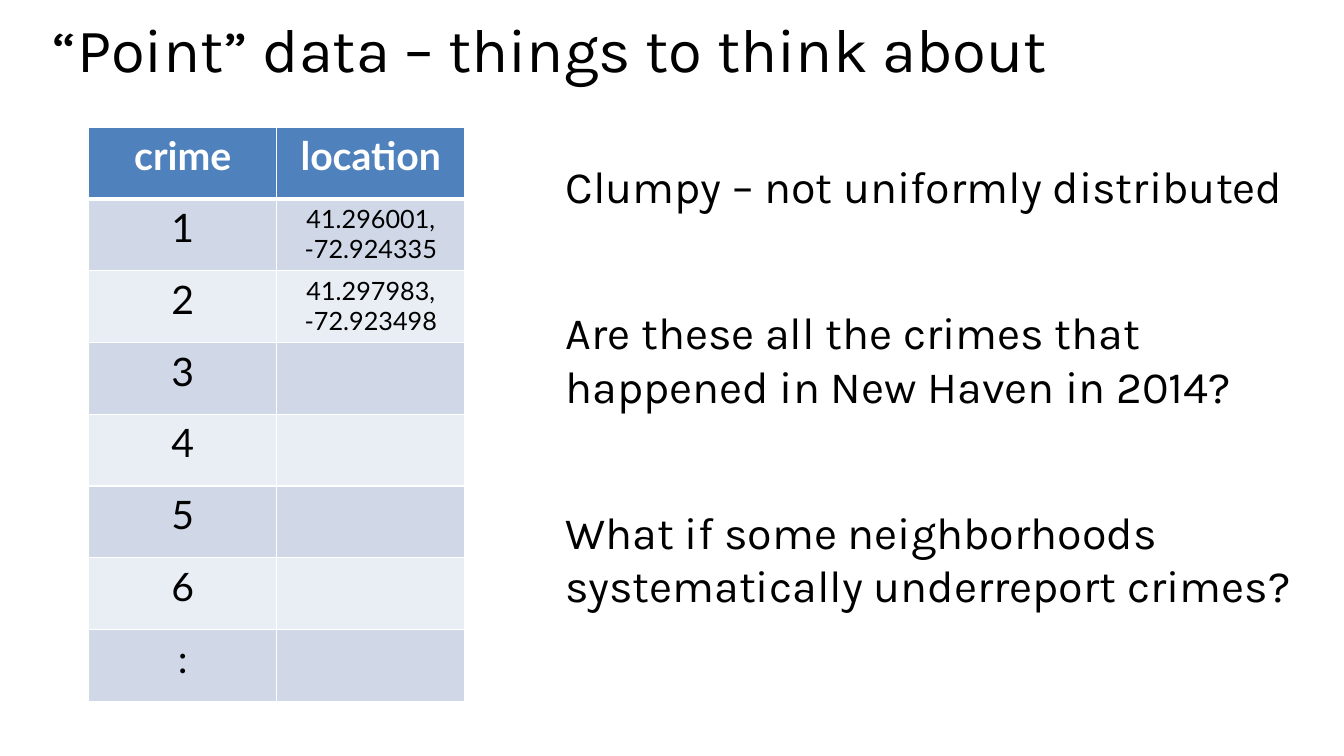
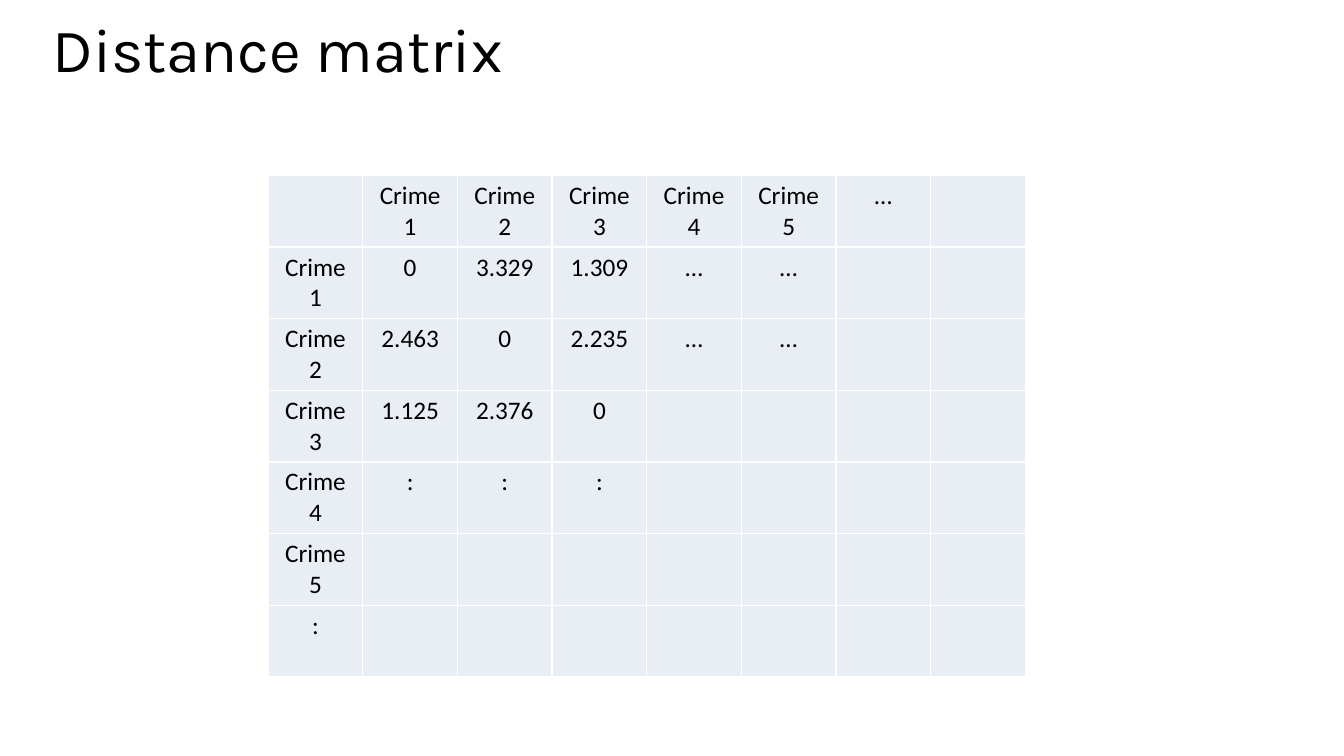
import pptx
import pptx.dml.color
import pptx.enum.text
import pptx.oxml
import pptx.oxml.ns
import pptx.util

PX = 9144
BLACK = pptx.dml.color.RGBColor(0x00, 0x00, 0x00)
WHITE = pptx.dml.color.RGBColor(0xFF, 0xFF, 0xFF)
HEADER_BLUE = pptx.dml.color.RGBColor(0x4F, 0x81, 0xBD)
BAND_DARK = pptx.dml.color.RGBColor(0xD0, 0xD8, 0xE8)
BAND_LIGHT = pptx.dml.color.RGBColor(0xE9, 0xED, 0xF4)

PLACE = ("left", "top", "width", "height")
TITLE_BOX = (42, 20, 1260, 116)
QUESTIONS_BOX = (551, 152, 749, 509)
TITLE_FONT = {"name": "Karla", "size": pptx.util.Pt(44)}
BODY_FONT = {"name": "Karla", "size": pptx.util.Pt(32)}
HEADER_FONT = {"name": "Lato", "size": pptx.util.Pt(28), "bold": True}
NUMBER_FONT = {"name": "Lato", "size": pptx.util.Pt(28), "bold": False}
LOCATION_FONT = {"name": "Lato", "size": pptx.util.Pt(18), "bold": False}
MATRIX_FONT = {"name": "Calibri", "size": pptx.util.Pt(18), "bold": False}
FRAME_FORMAT = {
    "word_wrap": True,
    "auto_size": pptx.enum.text.MSO_AUTO_SIZE.NONE,
    "vertical_anchor": pptx.enum.text.MSO_ANCHOR.TOP,
}


def format_text(text_frame, font_format, color, paragraph_format):
    for paragraph in text_frame.paragraphs:
        for name, value in paragraph_format.items():
            setattr(paragraph, name, value)
        for run in paragraph.runs:
            for name, value in font_format.items():
                setattr(run.font, name, value)
            run.font.color.rgb = color


def add_grid(slide, rows, box, cell_style, header_line):
    left, top, width, height = (length * PX for length in box)
    table = slide.shapes.add_table(
        len(rows), len(rows[0]), left, top, width, height
    ).table
    table.first_row = header_line > 1
    table.horz_banding = False
    for row_index, row in enumerate(rows):
        for column_index, text in enumerate(row):
            cell = table.cell(row_index, column_index)
            fill, font_format, color = cell_style(row_index, column_index)
            borders = {
                "lnL": 1,
                "lnR": 1,
                "lnT": header_line if row_index == 1 else 1,
                "lnB": header_line if row_index == 0 else 1,
            }
            for side, points in borders.items():
                cell._tc.get_or_add_tcPr().append(pptx.oxml.parse_xml(
                    f'<a:{side} {pptx.oxml.ns.nsdecls("a")} w="{points * 12700}">'
                    f'<a:solidFill><a:srgbClr val="{WHITE}"/></a:solidFill></a:{side}>'
                ))
            cell.fill.solid()
            cell.fill.fore_color.rgb = fill
            cell.text = text
            format_text(cell.text_frame, font_format, color,
                        {"alignment": pptx.enum.text.PP_ALIGN.CENTER})


presentation = pptx.Presentation()
presentation.slide_width = 1333 * PX
presentation.slide_height = 750 * PX

slides = []
for layout_index, title in (
    (1, "“Point” data – things to think about"),
    (5, "Distance matrix"),
):
    slide = presentation.slides.add_slide(presentation.slide_layouts[layout_index])
    shape = slide.shapes.title
    for name, length in zip(PLACE, TITLE_BOX):
        setattr(shape, name, length * PX)
    shape.text_frame.text = title
    for name, value in FRAME_FORMAT.items():
        setattr(shape.text_frame, name, value)
    format_text(shape.text_frame, TITLE_FONT, BLACK, {
        "alignment": pptx.enum.text.PP_ALIGN.LEFT, "line_spacing": 0.8,
    })
    slides.append(slide)
point_slide, matrix_slide = slides

crime_rows = [
    ("crime", "location"),
    ("1", "41.296001,\n-72.924335"),
    ("2", "41.297983,\n-72.923498"),
    *((label, "") for label in "3456:"),
]


def crime_style(row_index, column_index):
    if row_index == 0:
        return HEADER_BLUE, HEADER_FONT, WHITE
    fill = BAND_DARK if row_index % 2 else BAND_LIGHT
    return fill, LOCATION_FONT if column_index else NUMBER_FONT, BLACK


add_grid(point_slide, crime_rows, (88, 126, 373, 570), crime_style, 3)

questions = point_slide.placeholders[1]
for name, length in zip(PLACE, QUESTIONS_BOX):
    setattr(questions, name, length * PX)
questions.text_frame.text = "\n".join((
    "Clumpy – not uniformly distributed",
    "Are these all the crimes that happened in New Haven in 2014?",
    "What if some neighborhoods systematically underreport crimes?",
))
for name, value in FRAME_FORMAT.items():
    setattr(questions.text_frame, name, value)
for index, paragraph in enumerate(questions.text_frame.paragraphs):
    properties = paragraph._p.get_or_add_pPr()
    properties.set("marL", "0")
    properties.set("indent", "0")
    properties.append(pptx.oxml.parse_xml(
        f'<a:buNone {pptx.oxml.ns.nsdecls("a")}/>'
    ))
    paragraph.space_before = pptx.util.Pt(66 if index else 0)
format_text(questions.text_frame, BODY_FONT, BLACK, {})

crimes = [f"Crime {number}" for number in range(1, 6)]
distances = [
    ("0", "3.329", "1.309", "…", "…", "", ""),
    ("2.463", "0", "2.235", "…", "…", "", ""),
    ("1.125", "2.376", "0", "", "", "", ""),
    (":", ":", ":", "", "", "", ""),
    ("",) * 7,
    ("",) * 7,
]
matrix_rows = [("", *crimes, "…", "")]
for label, values in zip([*crimes, ":"], distances):
    matrix_rows.append((label, *values))
add_grid(matrix_slide, matrix_rows, (266, 174, 751, 496),
         lambda row_index, column_index: (BAND_LIGHT, MATRIX_FONT, BLACK), 1)

presentation.save("out.pptx")
